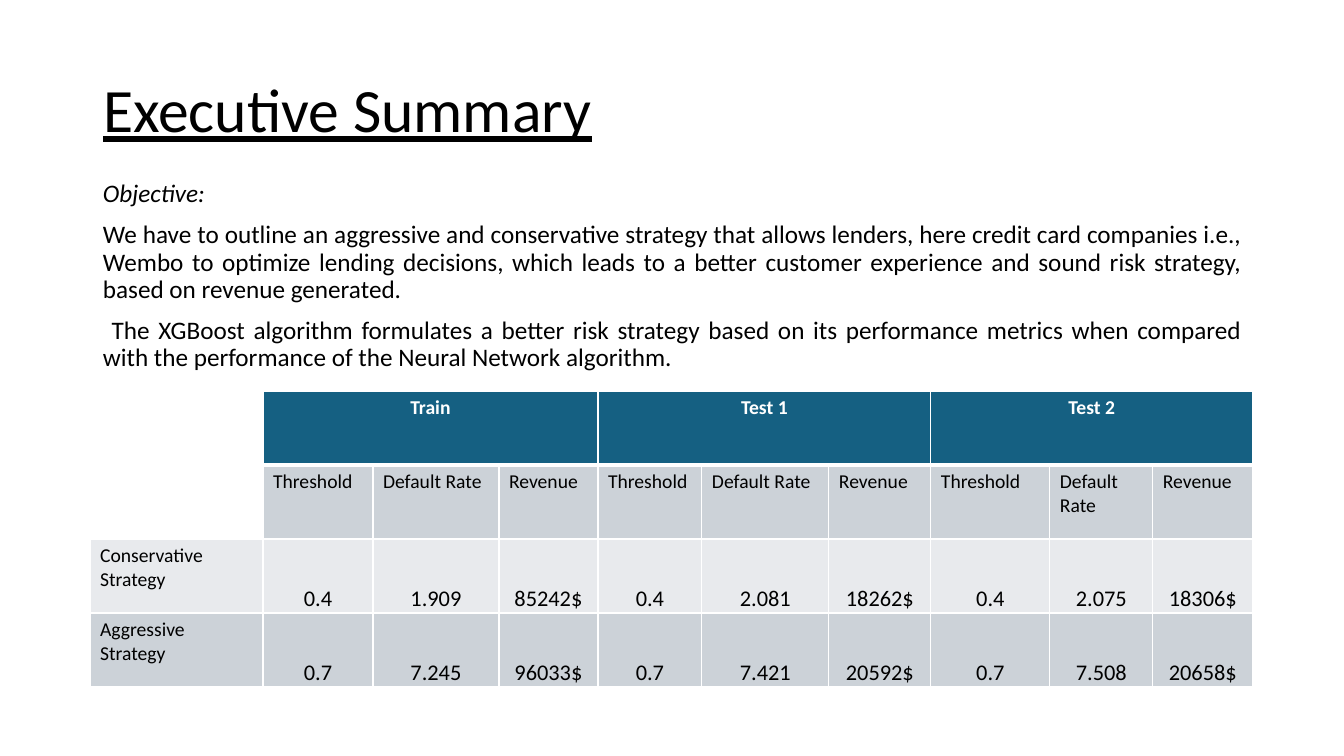
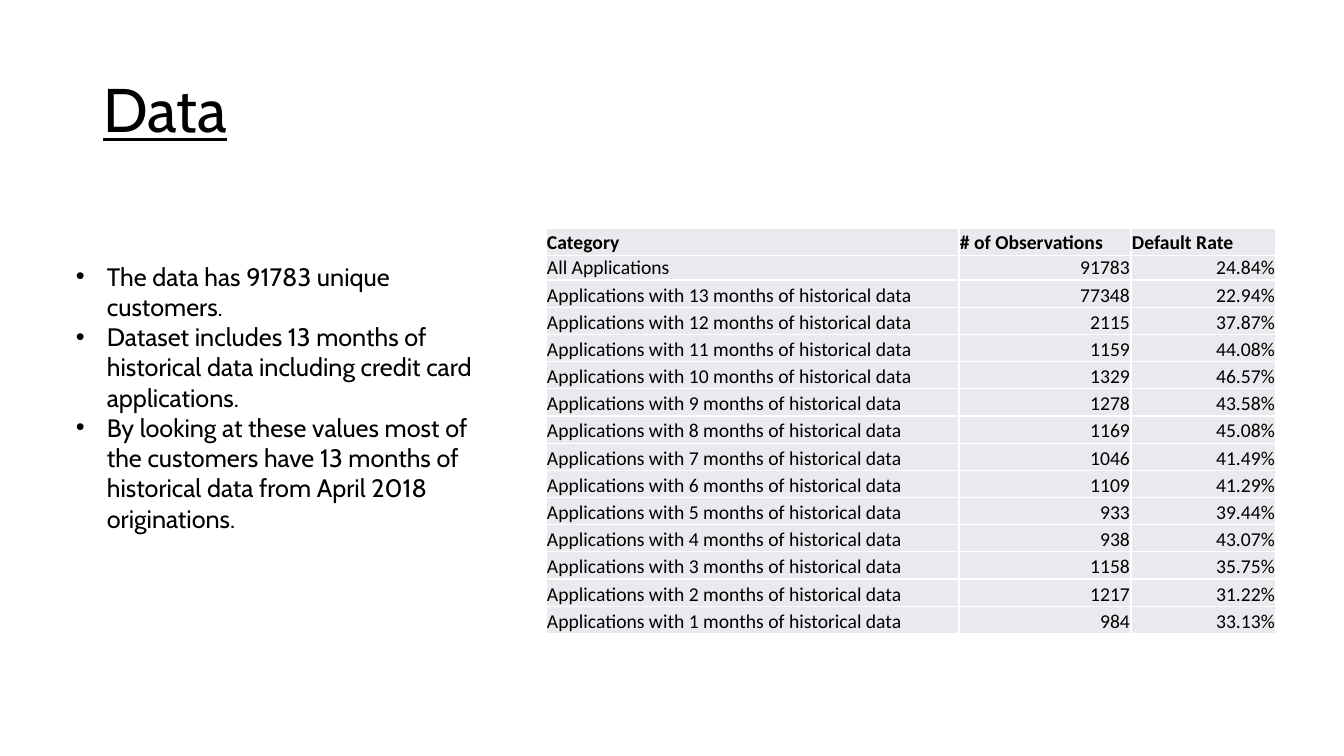
from pptx import Presentation
from pptx import util as u
from pptx.dml.color import RGBColor
from pptx.enum import text as t
from pptx.oxml import parse_xml
from pptx.oxml.ns import nsdecls

WIDE, HIGH = 1344, 756
SCALE = 12192000 / WIDE
HUES = {"ink": "000000", "paper": "FFFFFF", "head": "156082",
        "band": "CCD2D8", "pale": "E8EAED"}
SANS, SOFT = "Calibri", "Cabin"
LEFT, MID, RIGHT, FULL = (t.PP_ALIGN.LEFT, t.PP_ALIGN.CENTER,
                          t.PP_ALIGN.RIGHT, t.PP_ALIGN.JUSTIFY)

# Table contents
GROUPS = ["Train", "Test 1", "Test 2"]
FIELDS = ["Threshold", "Default Rate", "Revenue"]
PLANS = [
    ("Conservative Strategy", "band", "pale",
     ["0.4", "1.909", "85242$", "0.4", "2.081", "18262$",
      "0.4", "2.075", "18306$"]),
    ("Aggressive Strategy", "band", "band",
     ["0.7", "7.245", "96033$", "0.7", "7.421", "20592$",
      "0.7", "7.508", "20658$"]),
]
TOTAL = ("All Applications", "91783", "24.84%")
MONTHS = [("77348", "22.94%"), ("2115", "37.87%"), ("1159", "44.08%"),
          ("1329", "46.57%"), ("1278", "43.58%"), ("1169", "45.08%"),
          ("1046", "41.49%"), ("1109", "41.29%"), ("933", "39.44%"),
          ("938", "43.07%"), ("1158", "35.75%"), ("1217", "31.22%"),
          ("984", "33.13%")]


def px(n):
    return u.Emu(round(n * SCALE))


def place(shape, x, y, w, h):
    shape.left, shape.top, shape.width, shape.height = map(px, (x, y, w, h))


def write(para, words, size, face=SANS, hue="ink", align=LEFT, bold=False):
    """Add one styled run to a paragraph."""
    para.alignment = align
    run = para.add_run()
    run.text = words
    font = run.font
    font.size, font.name, font.bold = u.Pt(size), face, bold
    font.color.rgb = RGBColor.from_string(HUES[hue])
    return run


def new_slide(deck, title, face):
    """Add a slide with the shared underlined title."""
    slide = deck.slides.add_slide(deck.slide_layouts[5])
    head = slide.shapes.title
    place(head, 93, 40, 1159, 146)
    frame = head.text_frame
    frame.auto_size = t.MSO_AUTO_SIZE.NONE
    frame.vertical_anchor = t.MSO_ANCHOR.MIDDLE
    para = frame.paragraphs[0]
    para.line_spacing = 0.9
    write(para, title, 44, face).font.underline = True
    return slide


def text_box(slide, box, lines, **style):
    """Add a wrapped text box and return its paragraphs."""
    frame = slide.shapes.add_textbox(*map(px, box)).text_frame
    frame.word_wrap = True
    for i, line in enumerate(lines):
        para = frame.paragraphs[0] if i == 0 else frame.add_paragraph()
        write(para, line, 18, **style)
    return frame.paragraphs


def bullet(para):
    props = para._p.get_or_add_pPr()
    props.set("marL", str(px(31)))
    props.set("indent", str(-px(31)))
    props.append(parse_xml(f'<a:buFont {nsdecls("a")} typeface="Arial"/>'))
    props.append(parse_xml(f'<a:buChar {nsdecls("a")} char="•"/>'))


def add_grid(slide, x, y, cols, rows):
    """Add a plain table; row heights are in EMU."""
    table = slide.shapes.add_table(len(rows), len(cols), px(x), px(y),
                                   px(sum(cols)), u.Emu(sum(rows))).table
    table.first_row = table.horz_banding = False
    for col, w in zip(table.columns, cols):
        col.width = px(w)
    for row, h in zip(table.rows, rows):
        row.height = h
    return table


def edge(cell, top=1, bottom=1):
    """Draw white borders round a cell."""
    props = cell._tc.get_or_add_tcPr()
    for side, wide in zip("LRTB", (1, 1, top, bottom)):
        props.append(parse_xml(
            f'<a:ln{side} {nsdecls("a")} w="{u.Pt(wide)}"><a:solidFill>'
            f'<a:srgbClr val="{HUES["paper"]}"/></a:solidFill></a:ln{side}>'))


def paint(cell, hue):
    if hue:
        cell.fill.solid()
        cell.fill.fore_color.rgb = RGBColor.from_string(HUES[hue])
    else:
        cell.fill.background()


def put(cell, words, size=14, tight=False, **style):
    """Fill a cell with text; tight cells sit on the bottom edge."""
    if tight:
        cell.margin_left = cell.margin_right = cell.margin_top = px(1)
        cell.margin_bottom = 0
        cell.vertical_anchor = t.MSO_ANCHOR.BOTTOM
    write(cell.text_frame.paragraphs[0], words, size, **style)


def summary(deck):
    slide = new_slide(deck, "Executive Summary", SANS)
    paras = text_box(slide, (93, 176, 1159, 256), [
        "Objective:",
        "We have to outline an aggressive and conservative strategy that "
        "allows lenders, here credit card companies i.e., Wembo to optimize "
        "lending decisions, which leads to a better customer experience and "
        "sound risk strategy, based on revenue generated.",
        " The XGBoost algorithm formulates a better risk strategy based on "
        "its performance metrics when compared with the performance of the "
        "Neural Network algorithm.",
    ], align=FULL)
    for para in paras:
        para.line_spacing, para.space_before = 0.9, u.Pt(10)
    paras[0].runs[0].font.italic = True

    # Strategy table
    cols = [173, 110, 126, 99, 104, 127, 102, 119, 103, 100]
    table = add_grid(slide, 90, 391, cols, [px(74)] * 4)
    hues = ["head", "band"] + [plan[2] for plan in PLANS]
    for r, hue in enumerate(hues):
        for c in range(len(cols)):
            cell = table.cell(r, c)
            edge(cell, 3 if r == 1 else 1, 3 if r == 0 else 1)
            paint(cell, None if c == 0 and r < 2 else hue)
    span = len(FIELDS)
    for g, group in enumerate(GROUPS):
        first = 1 + g * span
        cell = table.cell(0, first)
        cell.merge(table.cell(0, first + span - 1))
        put(cell, group, hue="paper", align=MID, bold=True)
        for c, field in enumerate(FIELDS, first):
            put(table.cell(1, c), field)
    for r, (name, _, _, values) in enumerate(PLANS, 2):
        put(table.cell(r, 0), name)
        for c, value in enumerate(values, 1):
            put(table.cell(r, c), value, 16, tight=True, align=MID)


def data(deck):
    slide = new_slide(deck, "Data", SOFT)

    # Observation table
    lines = [("Category", "# of Observations", "Default Rate"), TOTAL]
    lines += [(f"Applications with {len(MONTHS) - i} months of historical data",
               *pair) for i, pair in enumerate(MONTHS)]
    rows = [px(381) // (len(lines) - 1)] * len(lines)
    rows[1] = px(24)
    table = add_grid(slide, 546, 228, [413, 172, 145], rows)
    for r, line in enumerate(lines):
        for c, words in enumerate(line):
            cell = table.cell(r, c)
            edge(cell)
            paint(cell, "pale")
            put(cell, words, tight=True, bold=r == 0,
                align=RIGHT if r and c else LEFT)

    # Findings
    for para in text_box(slide, (66, 256, 424, 317), [
        "The data has 91783 unique customers.",
        "Dataset includes 13 months of historical data including credit card "
        "applications.",
        "By looking at these values most of the customers have 13 months of "
        "historical data from April 2018 originations.",
    ], face=SOFT):
        bullet(para)


def main():
    deck = Presentation()
    deck.slide_width, deck.slide_height = px(WIDE), px(HIGH)
    summary(deck)
    data(deck)
    deck.save("out.pptx")


if __name__ == "__main__":
    main()
